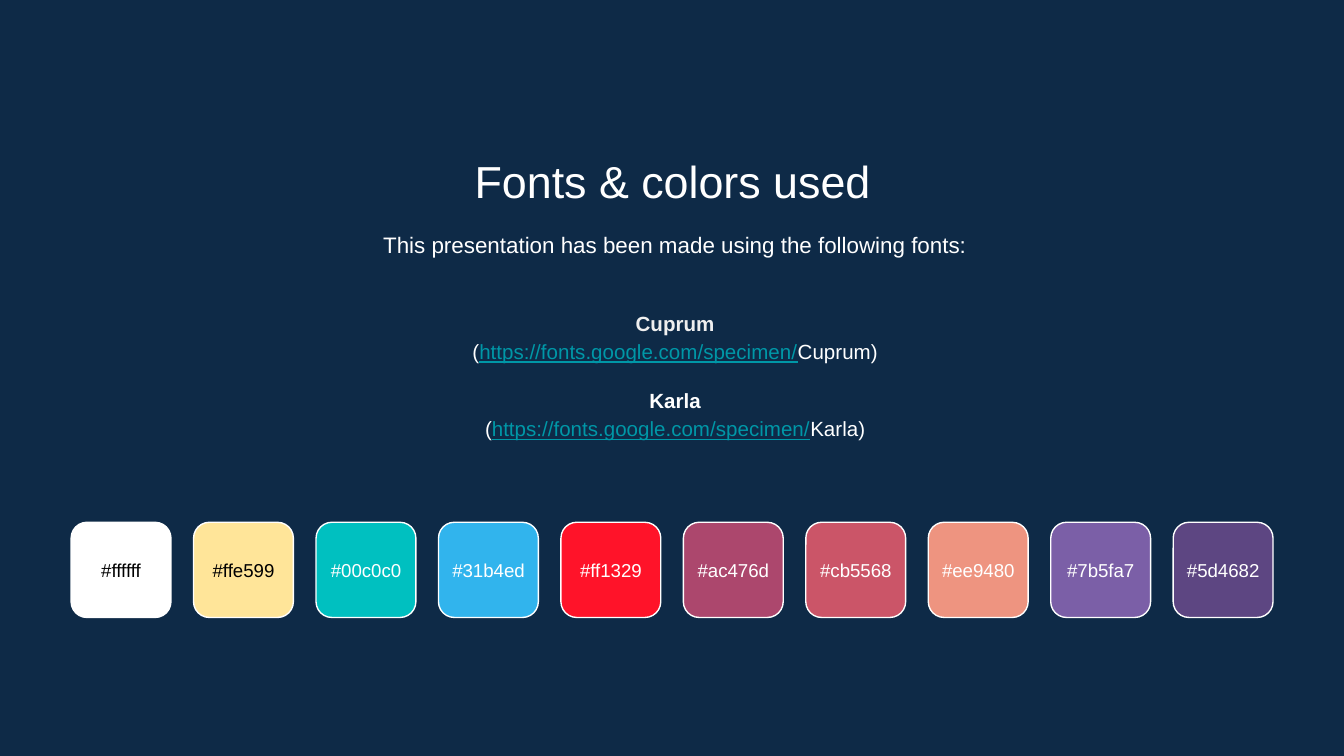
from pptx import Presentation, util as u
from pptx.dml.color import RGBColor
from pptx.enum import shapes, text

Pt = u.Pt
WHITE = "FFFFFF"


def paint(fill, code):
    fill.solid()
    fill.fore_color.rgb = RGBColor.from_string(code)


def write(box, lines, size, anchor="TOP", space=None, gaps=()):
    """Add a centred text box; each line is a list of (text, colour, format)."""
    frame = page.shapes.add_textbox(*map(Pt, box)).text_frame
    frame.word_wrap = True
    frame.vertical_anchor = text.MSO_ANCHOR[anchor]
    for side in ("left", "right", "top", "bottom"):
        setattr(frame, f"margin_{side}", Pt(7.2))
    for i, line in enumerate(lines):
        para = frame.add_paragraph() if i else frame.paragraphs[0]
        para.alignment = text.PP_ALIGN.CENTER
        para.line_spacing = space
        if i in gaps:
            para.space_before = Pt(11)
        for words, code, style in line:
            run = para.add_run()
            run.text = words
            paint(run.font.fill, code)
            for key, value in {"name": "Arial", "size": Pt(size), **style}.items():
                setattr(run.font, key, value)


# Slide
deck = Presentation()
deck.slide_width, deck.slide_height = Pt(720), Pt(405)
page = deck.slides.add_slide(deck.slide_layouts[6])
paint(page.background.fill, "0E2A47")

# Title and lead
write((82.8, 74.9, 555, 38), [[("Fonts & colors used", WHITE, {})]], 24)
lead = "This presentation has been made using the following fonts:"
write((84.2, 114.5, 555, 34.5), [[(lead, WHITE, {})]], 12, space=1.15)

# Font names with their addresses
lines = []
for name, code in (("Cuprum", "EFEFEF"), ("Karla", WHITE)):
    lines.append([(name, code, {"bold": True})])
    lines.append([
        ("(", WHITE, {}),
        ("https://fonts.google.com/specimen/", "0097A7", {"underline": True}),
        (f"{name})", WHITE, {}),
    ])
write((84.2, 151.2, 555, 98.6), lines, 11, "MIDDLE", 1.15, gaps=(2,))

# Row of colour swatches, evenly spaced
hues = ("ffffff", "ffe599", "00c0c0", "31b4ed", "ff1329",
        "ac476d", "cb5568", "ee9480", "7b5fa7", "5d4682")
left, step, wide = 38.1, 65.6, 53.5
for i, hue in enumerate(hues):
    x = left + i * step
    tile = page.shapes.add_shape(shapes.MSO_SHAPE.ROUNDED_RECTANGLE,
                                 Pt(x), Pt(279.8), Pt(wide), Pt(51))
    tile.shadow.inherit = False
    paint(tile.fill, hue.upper())
    paint(tile.line.fill, WHITE)
    tile.line.width = Pt(0.75)
    ink = "000000" if i < 2 else WHITE
    write((x, 290.5, wide, 29.5), [[(f"#{hue}", ink, {})]], 10, "MIDDLE")

deck.save("out.pptx")
